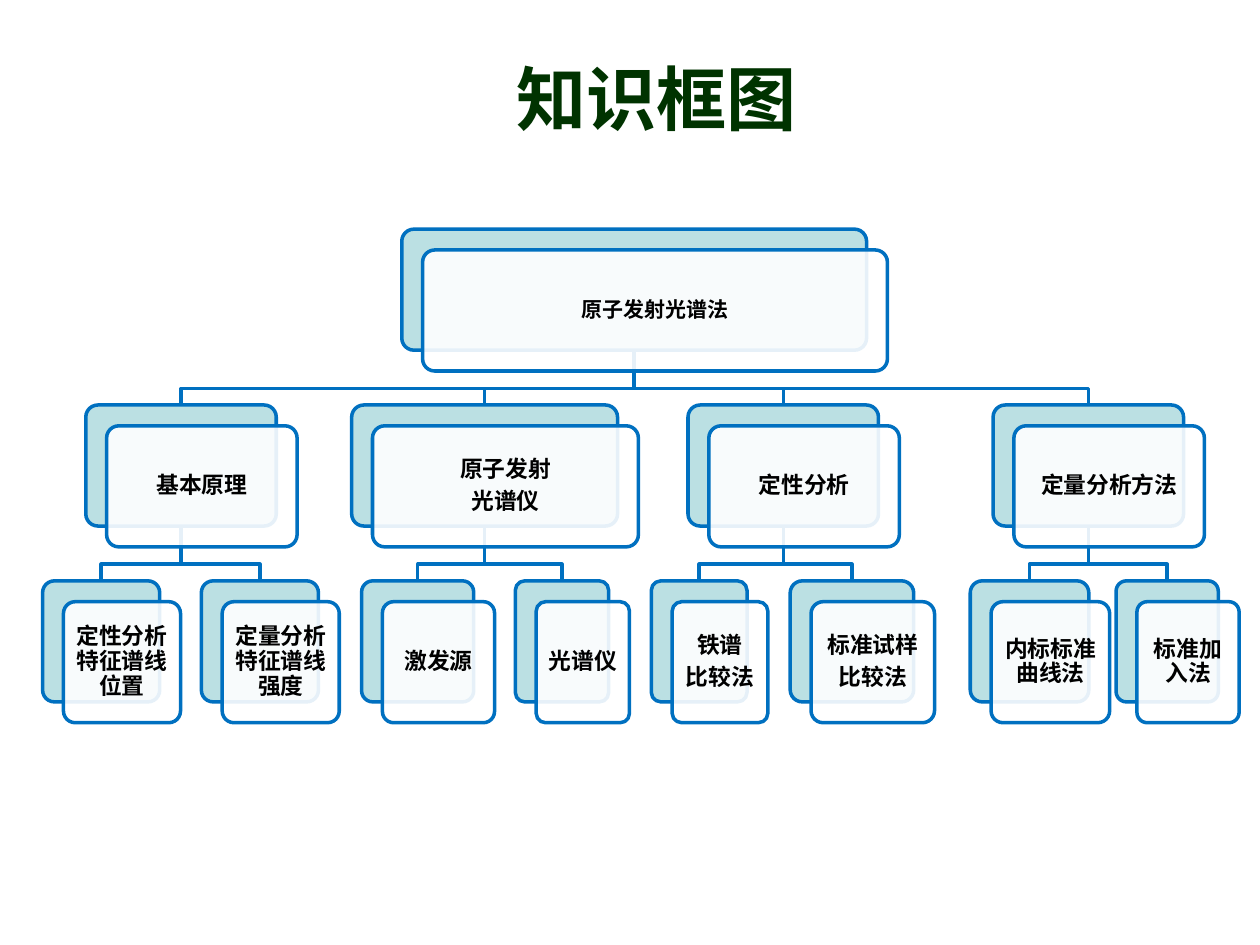
from dataclasses import dataclass
from typing import Iterator

from lxml.etree import SubElement
from pptx import Presentation
from pptx.dml.color import RGBColor
from pptx.enum.shapes import MSO_SHAPE
from pptx.enum.text import MSO_ANCHOR, MSO_AUTO_SIZE, PP_ALIGN
from pptx.oxml.ns import qn
from pptx.shapes.autoshape import Shape
from pptx.slide import Slide
from pptx.text.text import TextFrame
from pptx.util import Cm, Pt


@dataclass(frozen=True)
class Theme:
    font: str = "Arial"
    title: str = "003300"
    text: str = "000000"
    line: str = "0070C0"
    back: str = "BBE0E3"
    front: str = "FFFFFF"
    title_size: int = 40
    root_size: int = 12
    node_size: int = 13
    line_width: int = 2


@dataclass(frozen=True)
class Node:
    """A card: text, left and width in cm, and the cards below it."""
    text: str
    left: float
    width: float
    children: tuple["Node", ...] = ()

    @property
    def center(self) -> float:
        return self.left + self.width / 2


THEME = Theme()
TOP, ROW_STEP, CARD_HEIGHT = 4.62, 3.545, 2.44
CARD_SHIFT = 0.42
ELBOW_DROP = 0.77

TREE = Node("原子发射光谱法", 8.1, 9.37, (
    Node("基本原理", 1.73, 3.84, (
        Node("定性分析特征谱线位置", 0.86, 2.36),
        Node("定量分析特征谱线强度", 4.06, 2.36),
    )),
    Node("原子发射\n光谱仪", 7.09, 5.36, (
        Node("激发源", 7.29, 2.26),
        Node("光谱仪", 10.39, 1.88),
    )),
    Node("定性分析", 13.87, 3.84, (
        Node("铁谱\n比较法", 13.13, 1.93),
        Node("标准试样\n比较法", 15.93, 2.49),
    )),
    Node("定量分析方法", 20.02, 3.84, (
        Node("内标标准曲线法", 19.56, 2.39),
        Node("标准加入法", 22.5, 2.06),
    )),
))


def write(tf: TextFrame, text: str, *, size: float, color: str,
          align: PP_ALIGN = PP_ALIGN.LEFT, line_spacing: float = 1.0,
          space_after: float = 0) -> None:
    """Write one bold paragraph for each line of text."""
    for i, line in enumerate(text.split("\n")):
        p = tf.add_paragraph() if i else tf.paragraphs[0]
        p.alignment = align
        p.line_spacing = line_spacing
        p.space_after = Pt(space_after)
        r = p.add_run()
        r.text = line
        r.font.name = THEME.font
        r.font.size = Pt(size)
        r.font.bold = True
        r.font.color.rgb = RGBColor.from_string(color)


def outline(sp: Shape) -> None:
    sp.shadow.inherit = False
    sp.line.color.rgb = RGBColor.from_string(THEME.line)
    sp.line.width = Pt(THEME.line_width)


def add_card(s: Slide, left: float, top: float, width: float, fill: str) -> Shape:
    sp = s.shapes.add_shape(MSO_SHAPE.ROUNDED_RECTANGLE, Cm(left), Cm(top),
                            Cm(width), Cm(CARD_HEIGHT))
    sp.adjustments[0] = 0.1
    sp.fill.solid()
    sp.fill.fore_color.rgb = RGBColor.from_string(fill)
    outline(sp)
    return sp


def set_opacity(sp: Shape, percent: int) -> None:
    color = sp._element.spPr.find(qn("a:solidFill")).find(qn("a:srgbClr"))
    SubElement(color, qn("a:alpha")).set("val", str(percent * 1000))


def add_node(s: Slide, node: Node, level: int) -> None:
    """Draw a tinted card with a translucent text card shifted over it."""
    top = TOP + level * ROW_STEP
    add_card(s, node.left, top, node.width, THEME.back)
    sp = add_card(s, node.left + CARD_SHIFT, top + CARD_SHIFT, node.width, THEME.front)
    set_opacity(sp, 90)
    tf = sp.text_frame
    tf.word_wrap = True
    tf.vertical_anchor = MSO_ANCHOR.MIDDLE
    tf.margin_left = tf.margin_right = tf.margin_top = tf.margin_bottom = Cm(0.14)
    write(tf, node.text, size=THEME.node_size if level else THEME.root_size,
          color=THEME.text, align=PP_ALIGN.CENTER, line_spacing=0.9, space_after=4.5)


def add_link(s: Slide, parent: Node, child: Node, level: int) -> None:
    """Draw the elbow from a parent at the given level to its child."""
    start = TOP + level * ROW_STEP + CARD_HEIGHT
    bend, end = start + ELBOW_DROP, TOP + (level + 1) * ROW_STEP
    fb = s.shapes.build_freeform(Cm(parent.center), Cm(start))
    fb.add_line_segments([(Cm(parent.center), Cm(bend)), (Cm(child.center), Cm(bend)),
                          (Cm(child.center), Cm(end))], close=False)
    sp = fb.convert_to_shape()
    sp.fill.background()
    outline(sp)


def walk(node: Node, level: int = 0) -> Iterator[tuple[Node, int]]:
    yield node, level
    for child in node.children:
        yield from walk(child, level + 1)


def add_title(s: Slide, text: str) -> None:
    tf = s.shapes.add_textbox(Cm(10.16), Cm(0.99), Cm(6.22), Cm(1.96)).text_frame
    tf.word_wrap = False
    tf.auto_size = MSO_AUTO_SIZE.SHAPE_TO_FIT_TEXT
    write(tf, text, size=THEME.title_size, color=THEME.title)


def main() -> None:
    prs = Presentation()
    prs.slide_width, prs.slide_height = Cm(25.4), Cm(19.05)
    s = prs.slides.add_slide(prs.slide_layouts[6])
    for node, level in walk(TREE):
        for child in node.children:
            add_link(s, node, child, level)
    for node, level in walk(TREE):
        add_node(s, node, level)
    add_title(s, "知识框图")
    prs.save("out.pptx")


if __name__ == "__main__":
    main()
